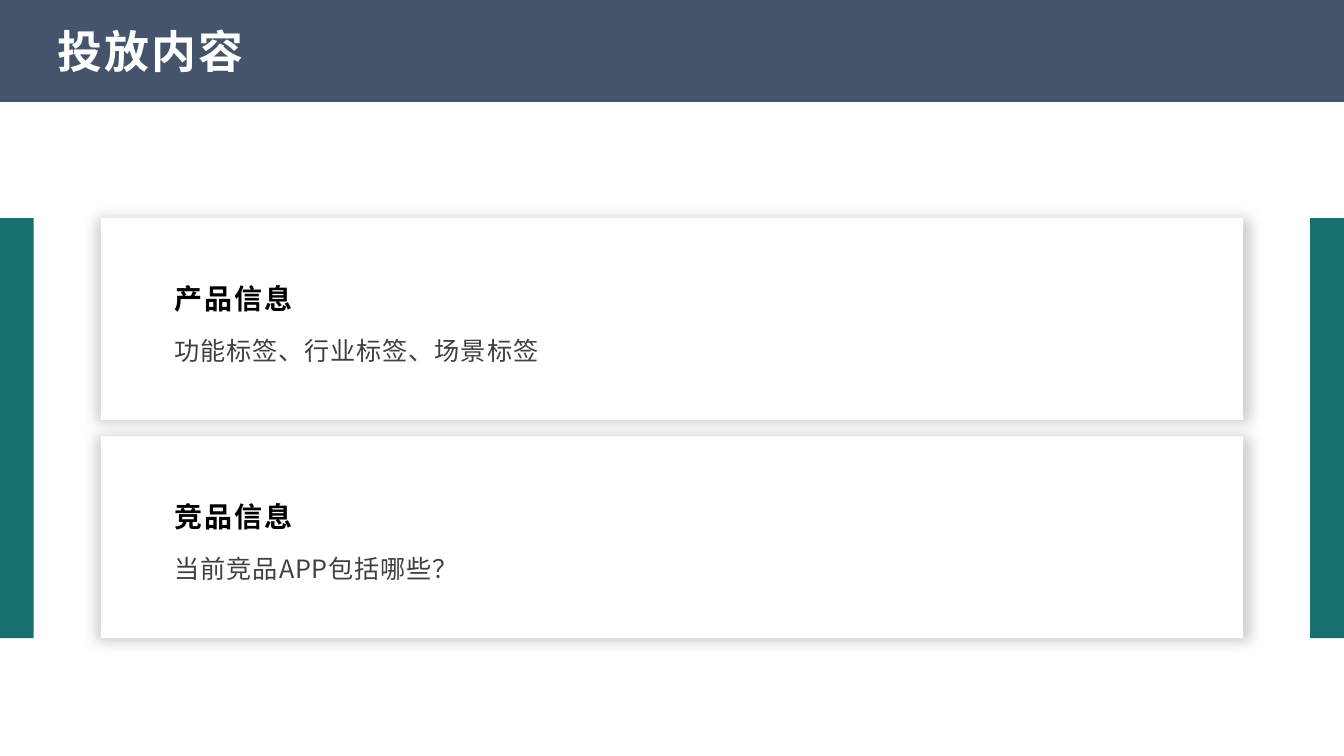
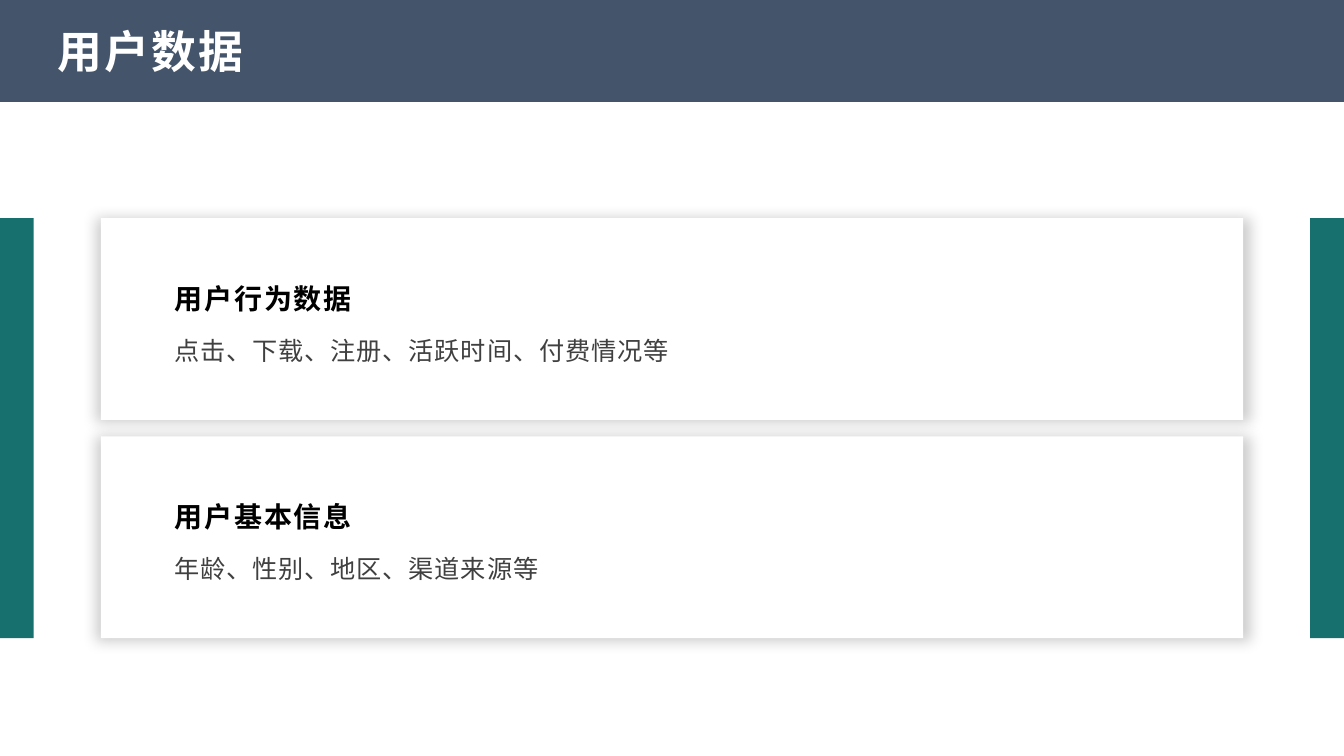
from dataclasses import dataclass

from lxml.etree import SubElement
from pptx import Presentation
from pptx.dml.color import RGBColor
from pptx.enum.shapes import MSO_SHAPE
from pptx.enum.text import MSO_ANCHOR
from pptx.oxml.ns import qn
from pptx.shapes.autoshape import Shape
from pptx.slide import Slide
from pptx.util import Cm, Pt


@dataclass(frozen=True)
class TextStyle:
    size: float
    color: str
    bold: bool
    tracking: float
    anchor: MSO_ANCHOR
    line_spacing: float = 1.0
    space_after: float = 0


@dataclass(frozen=True)
class Theme:
    font: str = "Noto Sans CJK SC"
    band: str = "44546A"
    side_bar: str = "176F6E"
    card: str = "FFFFFF"
    shadow: str = "000000"
    title: TextStyle = TextStyle(32, "FFFFFF", True, 1.6, MSO_ANCHOR.MIDDLE)
    heading: TextStyle = TextStyle(20, "000000", True, 1.2, MSO_ANCHOR.BOTTOM, 1.3, 8)
    body: TextStyle = TextStyle(18, "404040", False, 0.6, MSO_ANCHOR.TOP, 1.2, 8)


@dataclass(frozen=True)
class Box:
    """Left, top, width and height in centimetres."""
    left: float
    top: float
    width: float
    height: float

    def lengths(self) -> tuple[Cm, Cm, Cm, Cm]:
        return Cm(self.left), Cm(self.top), Cm(self.width), Cm(self.height)


@dataclass(frozen=True)
class Card:
    heading: str
    body: str


@dataclass(frozen=True)
class Page:
    title: str
    cards: tuple[Card, ...]


THEME = Theme()

# Layout in centimetres
SLIDE_WIDTH, SLIDE_HEIGHT = 33.87, 19.05
BAND = Box(0, 0, SLIDE_WIDTH, 2.57)
TITLE = Box(1.27, 0.42, 31.33, 1.69)
CARD_MARGIN, CARD_TOP, CARD_HEIGHT, CARD_GAP = 2.54, 5.5, 5.08, 0.42
CARD_WIDTH = SLIDE_WIDTH - 2 * CARD_MARGIN
BAR_WIDTH = 0.85
BAR_HEIGHT = 2 * CARD_HEIGHT + CARD_GAP
TEXT_LEFT, TEXT_WIDTH = 4.23, 25.4

PAGES = (
    Page("投放内容", (
        Card("产品信息", "功能标签、行业标签、场景标签"),
        Card("竞品信息", "当前竞品APP包括哪些？"),
    )),
    Page("用户数据", (
        Card("用户行为数据", "点击、下载、注册、活跃时间、付费情况等"),
        Card("用户基本信息", "年龄、性别、地区、渠道来源等"),
    )),
)


def add_rectangle(slide: Slide, box: Box, color: str) -> Shape:
    shape = slide.shapes.add_shape(MSO_SHAPE.RECTANGLE, *box.lengths())
    shape.shadow.inherit = False
    shape.fill.solid()
    shape.fill.fore_color.rgb = RGBColor.from_string(color)
    shape.line.fill.background()
    return shape


def add_soft_shadow(shape: Shape) -> None:
    effects = shape.element.spPr.find(qn("a:effectLst"))
    shadow = SubElement(effects, qn("a:outerShdw"), blurRad=str(Pt(10)),
                        sx="101000", sy="101000", algn="ctr", rotWithShape="0")
    color = SubElement(shadow, qn("a:srgbClr"), val=THEME.shadow)
    SubElement(color, qn("a:alpha"), val="20000")


def add_text(slide: Slide, box: Box, text: str, style: TextStyle) -> None:
    frame = slide.shapes.add_textbox(*box.lengths()).text_frame
    frame.word_wrap = True
    frame.vertical_anchor = style.anchor
    frame.margin_left = frame.margin_right = Cm(0.18)
    frame.margin_top = frame.margin_bottom = Cm(0.08)
    paragraph = frame.paragraphs[0]
    paragraph.line_spacing = style.line_spacing
    paragraph.space_after = Pt(style.space_after)
    run = paragraph.add_run()
    run.text = text
    run.font.name = THEME.font
    run.font.size = Pt(style.size)
    run.font.bold = style.bold
    run.font.color.rgb = RGBColor.from_string(style.color)
    # East Asian font and letter spacing
    properties = run.font._element
    properties.set("lang", "zh-CN")
    properties.set("spc", str(round(style.tracking * 100)))
    SubElement(properties, qn("a:ea"), typeface=THEME.font)


def add_frame(slide: Slide, title: str) -> None:
    add_rectangle(slide, BAND, THEME.band)
    for left in (0, SLIDE_WIDTH - BAR_WIDTH):
        add_rectangle(slide, Box(left, CARD_TOP, BAR_WIDTH, BAR_HEIGHT), THEME.side_bar)
    add_text(slide, TITLE, title, THEME.title)


def add_cards(slide: Slide, cards: tuple[Card, ...]) -> None:
    tops = [CARD_TOP + row * (CARD_HEIGHT + CARD_GAP) for row in range(len(cards))]
    # Panels first, so that no shadow falls on text
    for top in tops:
        panel = add_rectangle(slide, Box(CARD_MARGIN, top, CARD_WIDTH, CARD_HEIGHT), THEME.card)
        add_soft_shadow(panel)
    for top, card in zip(tops, cards):
        add_text(slide, Box(TEXT_LEFT, top + 1.27, TEXT_WIDTH, 1.24), card.heading, THEME.heading)
        add_text(slide, Box(TEXT_LEFT, top + 2.72, TEXT_WIDTH, 1.08), card.body, THEME.body)


def main() -> None:
    presentation = Presentation()
    presentation.slide_width = Cm(SLIDE_WIDTH)
    presentation.slide_height = Cm(SLIDE_HEIGHT)
    blank_layout = presentation.slide_layouts[6]
    for page in PAGES:
        slide = presentation.slides.add_slide(blank_layout)
        add_frame(slide, page.title)
        add_cards(slide, page.cards)
    presentation.save("out.pptx")


if __name__ == "__main__":
    main()
